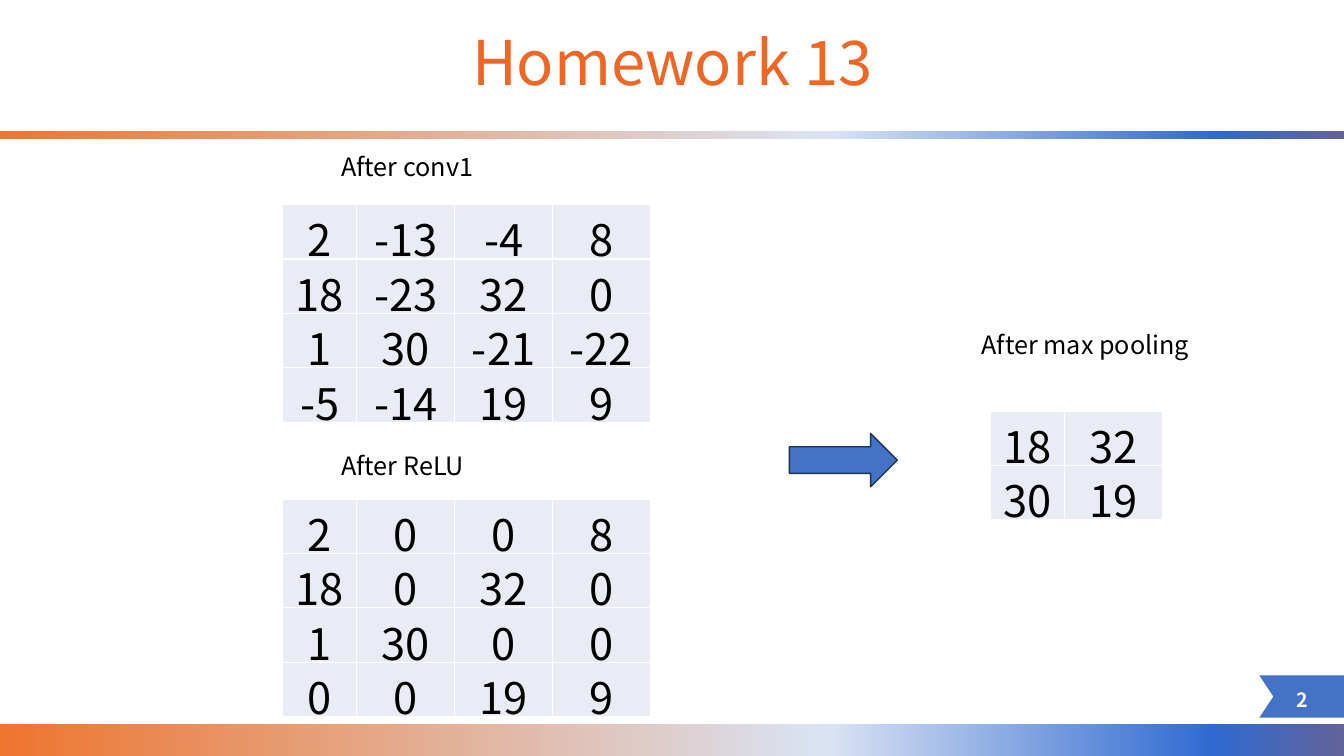
"""Build the Homework 13 slide: feature maps after convolution, ReLU and max pooling."""
import lxml.etree
import pptx
import pptx.dml.color
import pptx.enum.shapes
import pptx.enum.text
import pptx.oxml.ns
import pptx.util

Inches = pptx.util.Inches
RGBColor = pptx.dml.color.RGBColor
SHAPE = pptx.enum.shapes.MSO_SHAPE
ALIGN = pptx.enum.text.PP_ALIGN
ANCHOR = pptx.enum.text.MSO_ANCHOR
qn = pptx.oxml.ns.qn

FONT = "Noto Sans CJK SC"
BLACK = RGBColor(0x00, 0x00, 0x00)
WHITE = RGBColor(0xFF, 0xFF, 0xFF)
OFF_WHITE = RGBColor(0xF8, 0xF8, 0xF8)
ORANGE = RGBColor(0xF0, 0x66, 0x24)
BAR_ORANGE = RGBColor(0xEE, 0x75, 0x2E)
PALE_BLUE = RGBColor(0xDA, 0xE3, 0xF3)
BRIGHT_BLUE = RGBColor(0x2F, 0x69, 0xD1)
PURPLE = RGBColor(0x63, 0x63, 0x99)
BLUE = RGBColor(0x44, 0x72, 0xC4)
NAVY = RGBColor(0x1E, 0x32, 0x56)
CELL_FILL = RGBColor(0xE9, 0xEB, 0xF5)


def write(tf, text, size=18, color=BLACK, align=ALIGN.LEFT, bold=False, spacing=None):
    p = tf.paragraphs[0]
    p.alignment = align
    p.line_spacing = spacing
    r = p.add_run()
    r.text = text
    r.font.name = FONT
    r.font.size = pptx.util.Pt(size)
    r.font.bold = bold
    r.font.color.rgb = color
    ea = lxml.etree.SubElement(r.font._element, qn("a:ea"))
    ea.set("typeface", FONT)


prs = pptx.Presentation()
prs.slide_width, prs.slide_height = Inches(13.33), Inches(7.5)
s = prs.slides.add_slide(prs.slide_layouts[6])

bar_parts = [
    (0, 8.2, [(0, BAR_ORANGE), (100, PALE_BLUE)]),
    (8.2, 5.13, [(0, PALE_BLUE), (75, BRIGHT_BLUE), (100, PURPLE)]),
]
for top, height in [(7.18, 0.32), (1.3, 0.08)]:
    for left, width, stops in bar_parts:
        sp = s.shapes.add_shape(SHAPE.RECTANGLE, Inches(left), Inches(top), Inches(width), Inches(height))
        sp.shadow.inherit = False
        sp.line.fill.background()
        sp.fill.gradient()
        sp.fill.gradient_angle = 0
        gs_list = sp._element.spPr.find(qn("a:gradFill")).find(qn("a:gsLst"))
        for gs in list(gs_list):
            gs_list.remove(gs)
        for position, color in stops:
            gs = lxml.etree.SubElement(gs_list, qn("a:gs"), pos=str(position * 1000))
            lxml.etree.SubElement(gs, qn("a:srgbClr"), val=str(color))

fb = s.shapes.build_freeform(Inches(12.49), Inches(7.12), scale=1.0)
ribbon = [(12.63, 6.91), (12.49, 6.7), (13.33, 6.7), (13.33, 7.12)]
fb.add_line_segments([(Inches(x), Inches(y)) for x, y in ribbon], close=True)
sp = fb.convert_to_shape()
sp.shadow.inherit = False
sp.fill.solid()
sp.fill.fore_color.rgb = BLUE
sp.line.fill.background()

centred = {"align": ALIGN.CENTER}
texts = [
    ("2", 12.57, 6.78, 0.69, 0.34, ANCHOR.TOP, {"size": 14, "color": OFF_WHITE, "bold": True, **centred}),
    ("Homework 13", 0.92, 0.08, 11.5, 1.15, ANCHOR.MIDDLE,
     {"size": 44, "color": ORANGE, "spacing": 0.9, **centred}),
    ("After conv1", 3.29, 1.45, 2.68, 0.4, ANCHOR.TOP, {}),
    ("After ReLU", 3.29, 4.42, 2.68, 0.4, ANCHOR.TOP, {}),
    ("After max pooling", 9.64, 3.22, 2.69, 0.4, ANCHOR.TOP, {}),
]
for text, left, top, width, height, anchor, style in texts:
    tf = s.shapes.add_textbox(Inches(left), Inches(top), Inches(width), Inches(height)).text_frame
    tf.word_wrap = True
    tf.vertical_anchor = anchor
    write(tf, text, **style)

feature_maps = [
    (2.8, 2.03, [[2, -13, -4, 8], [18, -23, 32, 0], [1, 30, -21, -22], [-5, -14, 19, 9]]),
    (2.8, 4.95, [[2, 0, 0, 8], [18, 0, 32, 0], [1, 30, 0, 0], [0, 0, 19, 9]]),
    (9.82, 4.08, [[18, 32], [30, 19]]),
]
ROW_HEIGHT = 0.54
for left, top, values in feature_maps:
    widths = [0.74] + [0.97] * (len(values[0]) - 1)
    table = s.shapes.add_table(len(values), len(widths), Inches(left), Inches(top),
                               Inches(sum(widths)), Inches(ROW_HEIGHT * len(values))).table
    for column, width in zip(table.columns, widths):
        column.width = Inches(width)
    for i, row in enumerate(values):
        table.rows[i].height = Inches(ROW_HEIGHT)
        for j, value in enumerate(row):
            cell = table.cell(i, j)
            cell.margin_left = cell.margin_right = cell.margin_top = Inches(0.02)
            cell.margin_bottom = 0
            cell.vertical_anchor = ANCHOR.MIDDLE
            cell.fill.solid()
            cell.fill.fore_color.rgb = CELL_FILL
            write(cell.text_frame, str(value), size=31, **centred)
            tc_pr = cell._tc.get_or_add_tcPr()
            for k, side in enumerate(["a:lnL", "a:lnR", "a:lnT", "a:lnB"]):
                ln = lxml.etree.Element(qn(side), w=str(pptx.util.Pt(1)))
                fill = lxml.etree.SubElement(ln, qn("a:solidFill"))
                lxml.etree.SubElement(fill, qn("a:srgbClr"), val=str(WHITE))
                tc_pr.insert(k, ln)

sp = s.shapes.add_shape(SHAPE.RIGHT_ARROW, Inches(7.83), Inches(4.3), Inches(1.07), Inches(0.53))
sp.shadow.inherit = False
sp.fill.solid()
sp.fill.fore_color.rgb = BLUE
sp.line.color.rgb = NAVY
sp.line.width = pptx.util.Pt(1)

prs.save("out.pptx")
